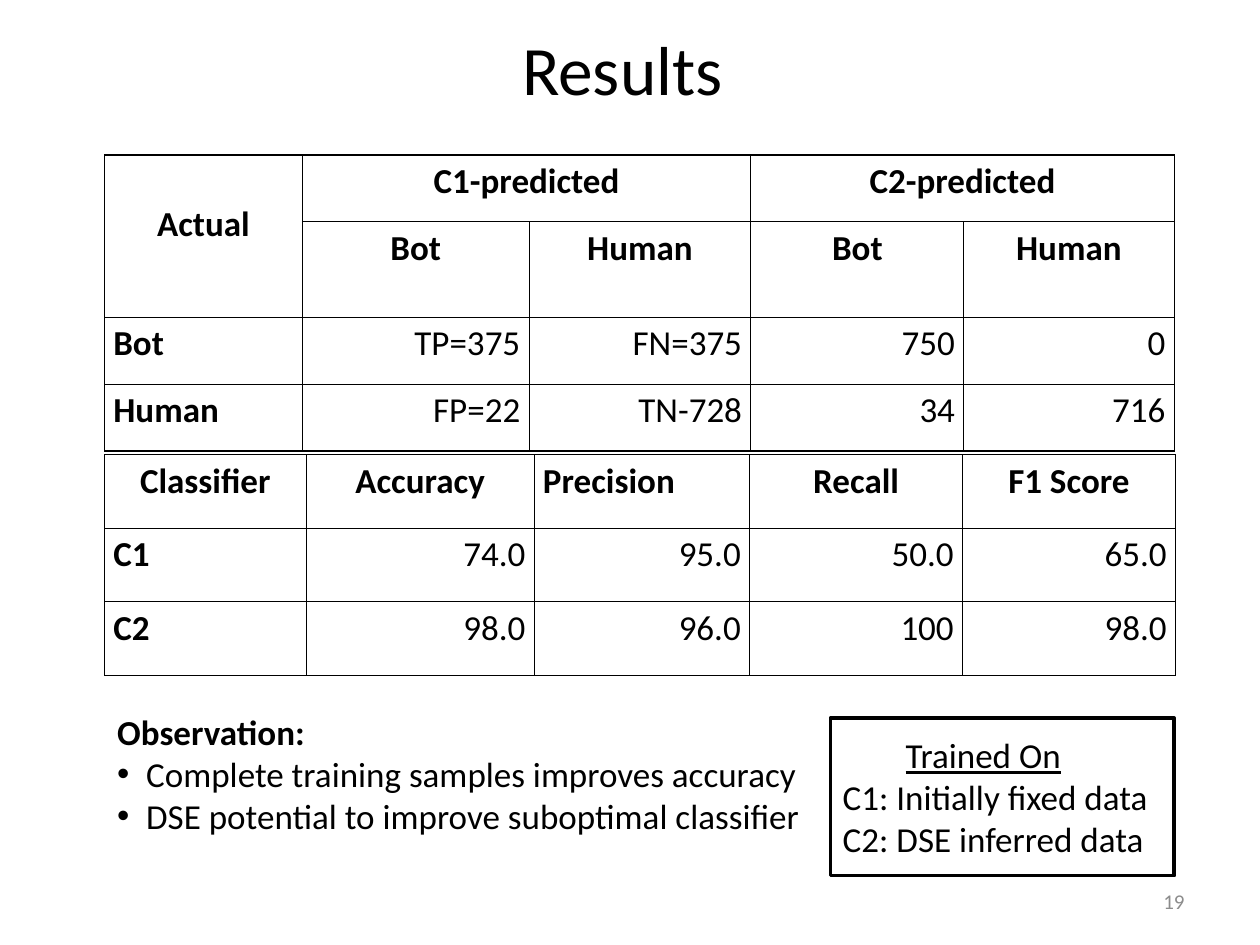
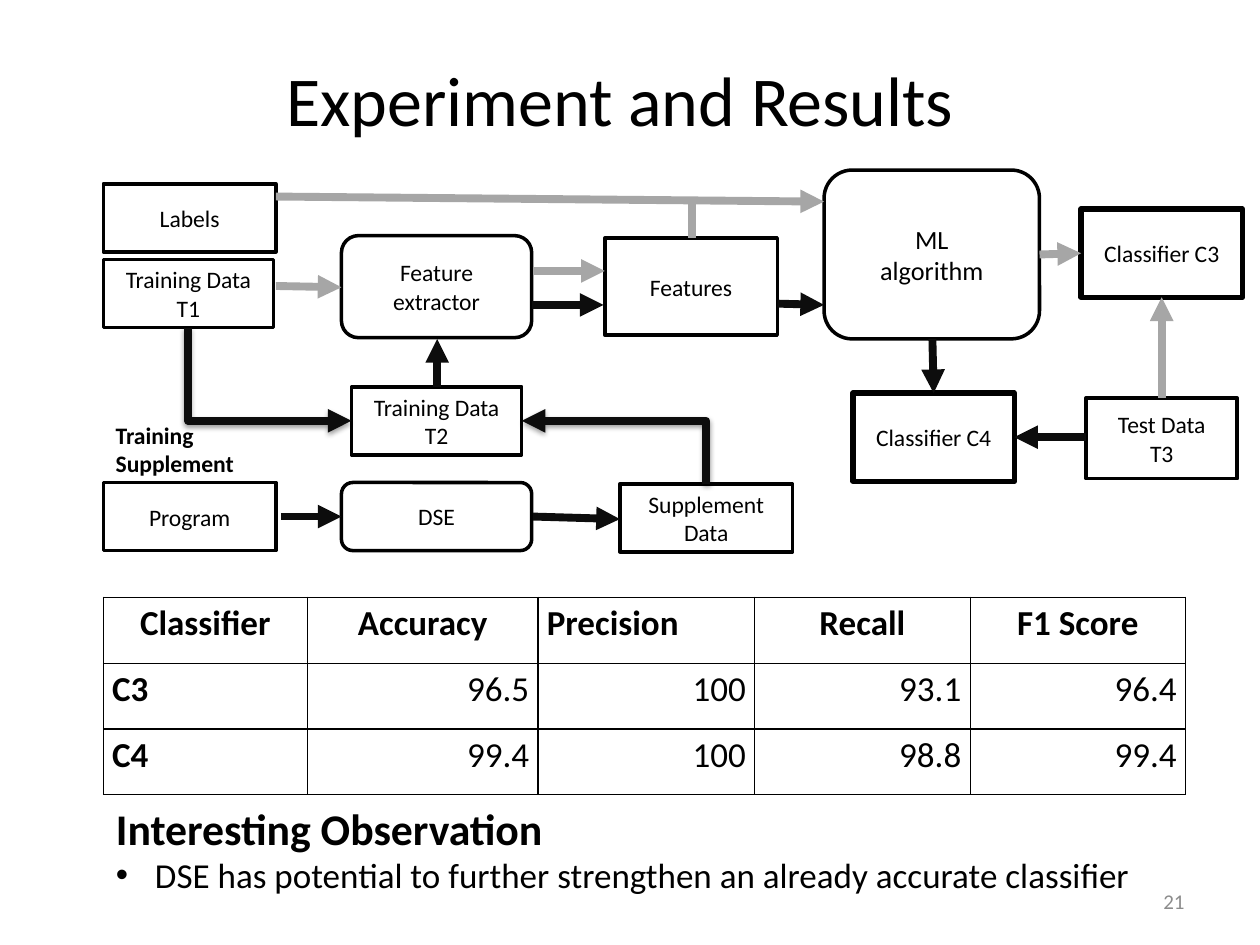
from itertools import product

from lxml.etree import SubElement
from pptx import Presentation
from pptx.dml.color import RGBColor
from pptx.enum.shapes import MSO_CONNECTOR, MSO_SHAPE
from pptx.enum.text import MSO_ANCHOR, MSO_AUTO_SIZE, PP_ALIGN
from pptx.oxml import parse_xml
from pptx.oxml.ns import nsdecls, qn
from pptx.util import Inches, Pt

FONT = "Calibri"
BLACK, WHITE, INK, GREY, NUMBER_GREY = "000000", "FFFFFF", "0D0D0D", "A6A6A6", "8C8C8C"
SCORES = ["Classifier", "Accuracy", "Precision", "Recall", "F1 Score"]
colour = RGBColor.from_string


def cells(*counts):
    """Lengths on a grid of 100 columns by 75 rows over the slide."""
    return [Inches(count / 10) for count in counts]


def add_table(page, corner, widths, heights, rows, header_rows=1):
    """Ruled table: bold headers and first column, figures to the right."""
    frame = page.shapes.add_table(len(rows), len(widths), *cells(*corner, sum(widths), sum(heights)))
    table = frame.table
    table.first_row = table.horz_banding = False
    for column, width in zip(table.columns, cells(*widths)):
        column.width = width
    for row, height in zip(table.rows, cells(*heights)):
        row.height = height
    for y, x in product(range(len(rows)), range(len(widths))):
        cell, header = table.cell(y, x), y < header_rows
        cell.text = rows[y][x]
        cell.margin_left, cell.margin_right, cell.margin_top, cell.margin_bottom = cells(0.7, 0.7, 0.4, 0.4)
        cell.fill.solid()
        cell.fill.fore_color.rgb = colour(WHITE)
        for place, side in enumerate(("lnL", "lnR", "lnT", "lnB")):
            cell._tc.get_or_add_tcPr().insert(place, parse_xml(
                f'<a:{side} {nsdecls("a")} w="9525"><a:solidFill><a:srgbClr val="{BLACK}"/>'
                f'</a:solidFill></a:{side}>'))
        para = cell.text_frame.paragraphs[0]
        para.font.size = Pt(20)
        para.font.bold = header or x == 0
        if cell.text == "Precision" or (x == 0 and not header):
            para.alignment = PP_ALIGN.LEFT
        else:
            para.alignment = PP_ALIGN.CENTER if header else PP_ALIGN.RIGHT
    return table


deck = Presentation()
deck.slide_width, deck.slide_height = cells(100, 75)

# Shared frame: title, observation list, page number
frames = [
    ("Results", 39.6, (0, 0.7, 98.8, 9.3), "19", (8.3, 55.9, 74.8, 15.7), 20, 2.3,
     ["Observation:", "Complete training samples improves accuracy",
      "DSE potential to improve suboptimal classifier"]),
    ("Experiment and Results", 40, (4.2, 1.6, 90, 12.5), "21", (8.2, 63.1, 82.9, 8.6), 25, 3.1,
     ["Interesting Observation",
      "DSE has potential to further strengthen an already accurate classifier"]),
]
for title, title_size, title_spot, number, list_spot, heading_size, indent, lines in frames:
    page = deck.slides.add_slide(deck.slide_layouts[1])
    heading, body = page.shapes.title, page.placeholders[1]
    for box, spot in ((heading, title_spot), (body, list_spot)):
        box.left, box.top, box.width, box.height = cells(*spot)
        box.text_frame.auto_size = MSO_AUTO_SIZE.NONE
    heading.text_frame.text = title
    heading.text_frame.vertical_anchor = MSO_ANCHOR.MIDDLE
    heading.text_frame.paragraphs[0].font.size = Pt(title_size)

    body.text_frame.text = "\n".join(lines)
    for index, para in enumerate(body.text_frame.paragraphs):
        para.space_before = Pt(0)
        hang = cells(indent if index else 0)[0]
        properties = para._p.get_or_add_pPr()
        properties.set("marL", str(hang))
        properties.set("indent", str(-hang))
        if index == 0:
            SubElement(properties, qn("a:buNone"))
        para.font.size = Pt(20 if index else heading_size)
        para.font.bold = index == 0

    page_number = page.shapes.add_textbox(*cells(71.7, 69.5, 23.3, 4)).text_frame
    page_number.word_wrap = True
    page_number.vertical_anchor = MSO_ANCHOR.MIDDLE
    page_number.text = number
    para = page_number.paragraphs[0]
    para.alignment = PP_ALIGN.RIGHT
    para.font.size = Pt(12)
    para.font.color.rgb = colour(NUMBER_GREY)

results, experiment = deck.slides

# Results
confusion = add_table(
    results, (8.3, 12.3), (15.7, 18, 17.6, 16.9, 16.7), (5.3, 7.6, 5.3, 5.3),
    [["Actual", "C1-predicted", "", "C2-predicted", ""],
     ["", "Bot", "Human", "Bot", "Human"],
     ["Bot", "TP=375", "FN=375", "750", "0"],
     ["Human", "FP=22", "TN-728", "34", "716"]], header_rows=2)
for first, last in (((0, 0), (1, 0)), ((0, 1), (0, 2)), ((0, 3), (0, 4))):
    confusion.cell(*first).merge(confusion.cell(*last))
confusion.cell(0, 0).margin_top = cells(3.8)[0]

add_table(results, (8.3, 36.1), (16, 18.1, 17.1, 16.9, 16.9), [5.83] * 3,
          [SCORES,
           ["C1", "74.0", "95.0", "50.0", "65.0"],
           ["C2", "98.0", "96.0", "100", "98.0"]])

legend = results.shapes.add_shape(MSO_SHAPE.RECTANGLE, *cells(65.9, 57, 27.3, 12.5))
legend.shadow.inherit = False
legend.fill.solid()
legend.fill.fore_color.rgb = colour(WHITE)
legend.line.color.rgb = colour(BLACK)
legend.line.width = Pt(2)
legend.text_frame.text = "Trained On\nC1: Initially fixed data\nC2: DSE inferred data"
for para in legend.text_frame.paragraphs:
    para.alignment = PP_ALIGN.LEFT
    para.font.size = Pt(20)
legend_title = legend.text_frame.paragraphs[0]
legend_title.font.underline = True
legend_title._p.get_or_add_pPr().set("marL", str(cells(5)[0]))

# Experiment and Results
add_table(experiment, (8.2, 47.4), (16.2, 18.3, 17.2, 17.1, 17.1), [5.23] * 3,
          [SCORES,
           ["C3", "96.5", "100", "93.1", "96.4"],
           ["C4", "99.4", "100", "98.8", "99.4"]])

RECT, ROUND = MSO_SHAPE.RECTANGLE, MSO_SHAPE.ROUNDED_RECTANGLE
steps = [
    ("Labels", RECT, (8.2, 14.6, 13.7, 5.4)),
    ("Training Data T1", RECT, (8.2, 20.6, 13.5, 5.4)),
    ("Feature\vextractor", ROUND, (27.1, 18.7, 15.1, 8.1)),
    ("Features", RECT, (48, 18.9, 13.7, 7.7)),
    ("Program", RECT, (8.2, 38.3, 13.7, 5.4)),
    ("DSE", ROUND, (27.1, 38.3, 15.1, 5.4)),
    ("Supplement Data", RECT, (49.2, 38.4, 13.7, 5.4)),
    ("ML\valgorithm", ROUND, (65.4, 13.5, 17.1, 13.4)),
    ("Classifier C3", RECT, (85.8, 16.6, 12.8, 7)),
    ("Test Data\nT3", RECT, (86.2, 31.6, 12, 6.4)),
    ("Training Data T2", RECT, (27.9, 30.7, 13.5, 5.4)),
    ("Classifier C4", RECT, (67.7, 31.2, 12.8, 7)),
]
boxes = {}
for words, kind, spot in steps:
    box = boxes[words] = experiment.shapes.add_shape(kind, *cells(*spot))
    box.shadow.inherit = False
    box.fill.solid()
    box.fill.fore_color.rgb = colour(WHITE)
    box.line.color.rgb = colour(BLACK)
    box.line.width = Pt(3 if words.startswith("Classifier") else 2)
    frame = box.text_frame
    frame.margin_left, frame.margin_right, frame.margin_top, frame.margin_bottom = cells(0.7, 0.7, 0.4, 0.4)
    frame.word_wrap = True
    frame.text = words
    for para in frame.paragraphs:
        para.alignment = PP_ALIGN.CENTER
        para.font.size = Pt(15 if words.startswith("ML") else 13.5)

label = experiment.shapes.add_textbox(*cells(8.2, 32.9, 13.5, 5.6)).text_frame
label.word_wrap = True
label.text = "Training\vSupplement"
label.paragraphs[0].font.size = Pt(13.5)
label.paragraphs[0].font.bold = True

# Arrows: ends on the grid, colour, which end carries the head
flows = [
    ((21.9, 15.6, 65.4, 16), GREY, "tailEnd"),
    ((54.9, 16, 54.9, 18.9), GREY, None),
    ((21.9, 22.7, 27.1, 22.8), GREY, "tailEnd"),
    ((22.3, 41, 27.1, 41), INK, "tailEnd"),
    ((42.3, 41, 49.2, 41.2), INK, "tailEnd"),
    ((42.3, 21.5, 48, 21.5), GREY, "tailEnd"),
    ((82.5, 20.2, 85.8, 20.1), GREY, "tailEnd"),
    ((74, 26.9, 74.1, 31.2), INK, "tailEnd"),
    ((34.7, 30.7, 34.7, 26.9), INK, "tailEnd"),
    ((92.2, 31.6, 92.2, 23.6), GREY, "tailEnd"),
    ((86.2, 34.7, 80.5, 34.7), INK, "tailEnd"),
    ((42.2, 24.2, 47.9, 24.2), INK, "tailEnd"),
    ((61.7, 24.1, 65.4, 24.2), INK, "tailEnd"),
]
arrows = [(experiment.shapes.add_connector(MSO_CONNECTOR.STRAIGHT, *cells(*ends)), shade, head)
          for ends, shade, head in flows]

# Elbows start at Training Data T2, so the head sits at their beginning
LEFT, BOTTOM, RIGHT, TOP = 1, 2, 3, 0
for side, source, source_side in ((LEFT, "Training Data T1", BOTTOM), (RIGHT, "Supplement Data", TOP)):
    elbow = experiment.shapes.add_connector(MSO_CONNECTOR.ELBOW, 0, 0, 0, 0)
    elbow.begin_connect(boxes["Training Data T2"], side)
    elbow.end_connect(boxes[source], source_side)
    elbow._element.spPr.find(qn("a:prstGeom")).set("prst", "bentConnector2")
    arrows.append((elbow, INK, "headEnd"))

for arrow, shade, head in arrows:
    arrow.line.color.rgb = colour(shade)
    arrow.line.width = Pt(4.5)
    if head:
        SubElement(arrow.line._get_or_add_ln(), qn("a:" + head), type="triangle")
    effects = SubElement(arrow._element.spPr, qn("a:effectLst"))
    if head == "headEnd":
        shadow = SubElement(effects, qn("a:outerShdw"), blurRad=str(Pt(3.1)), dist=str(Pt(1.6)),
                            dir="5400000", rotWithShape="0")
        SubElement(SubElement(shadow, qn("a:srgbClr"), val=BLACK), qn("a:alpha"), val="38000")

# One typeface throughout, black unless a paragraph has its own colour
for page in deck.slides:
    for shape in page.shapes:
        frames = [shape.text_frame] if shape.has_text_frame else []
        if shape.has_table:
            frames = [cell.text_frame for cell in shape.table.iter_cells()]
        for frame in frames:
            for para in frame.paragraphs:
                para.font.name = FONT
                if para.font.color.type is None:
                    para.font.color.rgb = colour(BLACK)

deck.save("out.pptx")
